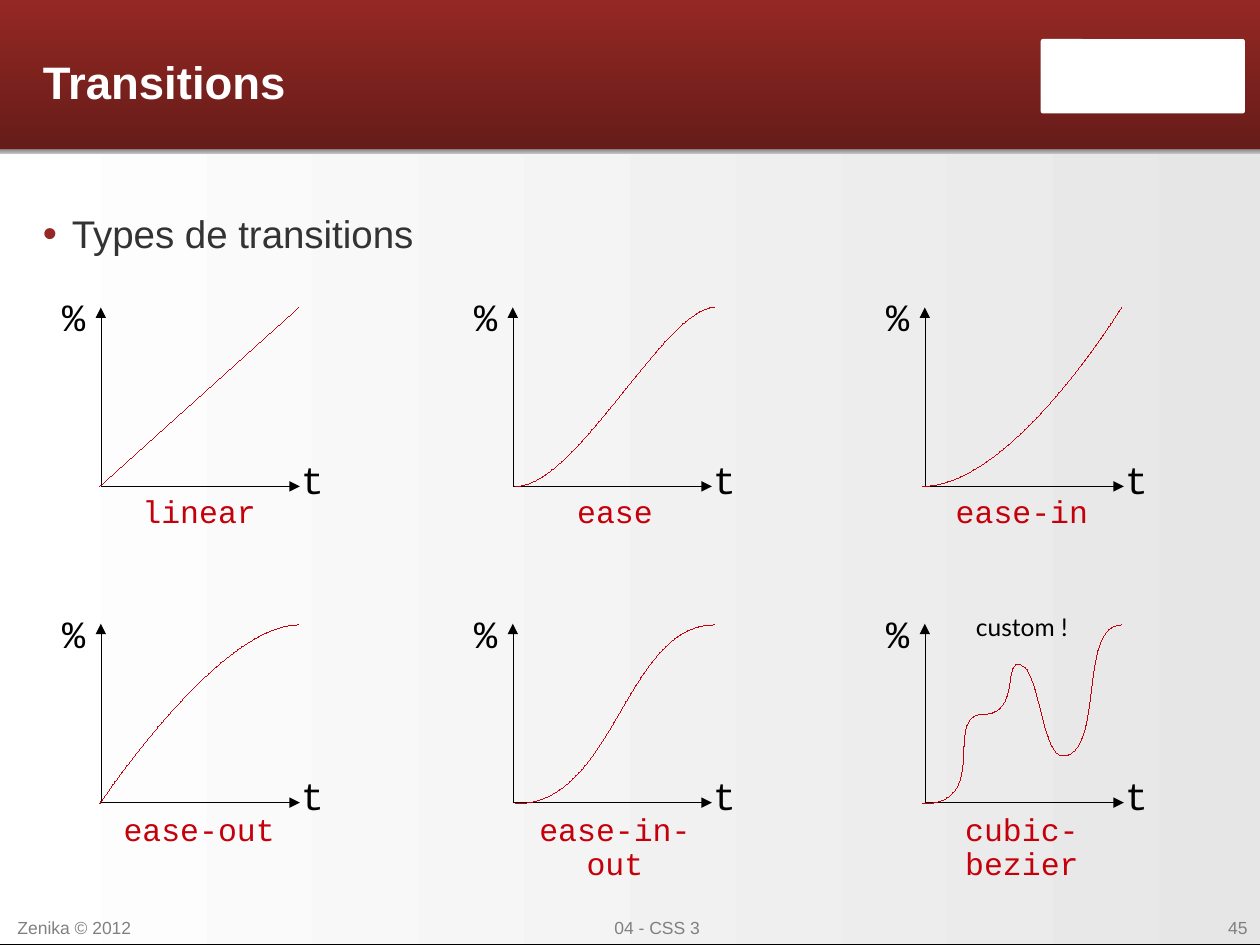
from lxml import etree
from pptx import Presentation
from pptx.dml.color import RGBColor
from pptx.enum.shapes import MSO_CONNECTOR, MSO_SHAPE
from pptx.enum.text import MSO_ANCHOR, MSO_AUTO_SIZE, PP_ALIGN
from pptx.oxml.ns import qn
from pptx.util import Inches, Pt

STRAIGHT = MSO_CONNECTOR.STRAIGHT
RECT, ROUNDED = MSO_SHAPE.RECTANGLE, MSO_SHAPE.ROUNDED_RECTANGLE
TOP, MIDDLE = MSO_ANCHOR.TOP, MSO_ANCHOR.MIDDLE
LEFT, CENTER, RIGHT = PP_ALIGN.LEFT, PP_ALIGN.CENTER, PP_ALIGN.RIGHT
NO_AUTOFIT = MSO_AUTO_SIZE.NONE

BLACK = RGBColor(0x00, 0x00, 0x00)
WHITE = RGBColor(0xFF, 0xFF, 0xFF)
PALE_BLUE = RGBColor(0xD5, 0xDF, 0xE7)
NEAR_WHITE = RGBColor(0xFE, 0xFE, 0xFE)
LIGHT_GREY = RGBColor(0xE6, 0xE6, 0xE6)
SILVER = RGBColor(0xC0, 0xC0, 0xC0)
GREY = RGBColor(0x80, 0x80, 0x80)
DARK_GREY = RGBColor(0x33, 0x33, 0x33)
RED = RGBColor(0x94, 0x28, 0x24)
DARK_RED = RGBColor(0x67, 0x1C, 0x19)
CURVE_RED = RGBColor(0xC5, 0x00, 0x0B)

# Plot grid, in inches
AXIS_LEFT, AXIS_PITCH = 0.8, 3.27
AXIS_BOTTOMS = (3.86, 6.37)
CURVE_LEFTS = (0.79, 4.09, 7.32)
CURVE_BOTTOMS = (3.86, 6.38)
CURVE_W, CURVE_H = 1.58, 1.42

# Bezier segments: two controls and an end, in inches right of and above the origin
END = (CURVE_W, CURVE_H)
PLOTS = [
    ("linear", []),
    ("ease", [((0.48, 0), (1.19, CURVE_H), END)]),
    ("ease-in", [((0.71, 0), END, END)]),
    ("ease-out", [((0, 0), (0.94, CURVE_H), END)]),
    ("ease-in-out", [((0.79, 0), (0.87, CURVE_H), END)]),
    ("cubic-bezier", [((0.55, 0), (0.16, 0.71), (0.48, 0.71)),
                      ((0.79, 0.71), (0.63, 1.18), (0.79, 1.1)),
                      ((0.95, 1.03), (0.95, 0.24), (1.18, 0.4)),
                      ((1.42, 0.55), (1.26, CURVE_H), END)]),
]


def set_gradient(fill, first, last, angle=0):
    fill.gradient()
    fill.gradient_angle = angle
    for stop, color in zip(fill.gradient_stops, (first, last)):
        stop.color.rgb = color


def set_hairline(sp, color):
    sp.line.color.rgb = color
    ln = sp._element.spPr.find(qn("a:ln"))
    ln.set("w", "0")  # an explicit zero overrides the theme's line width
    return ln


def place(sp, box):
    sp.left, sp.top, sp.width, sp.height = map(Inches, box)


def write(sp, text, size, color, font="Arial", align=LEFT, inset=(0, 0),
          anchor=TOP, spacing=1.0):
    tf = sp.text_frame
    tf.text = text
    tf.word_wrap = True
    tf.auto_size = NO_AUTOFIT
    tf.vertical_anchor = anchor
    tf.margin_left = tf.margin_right = Inches(inset[0])
    tf.margin_top = tf.margin_bottom = Inches(inset[1])
    p = tf.paragraphs[0]
    p.alignment = align
    p.line_spacing = spacing
    p.space_before = Pt(0)
    r = p.runs[0]
    r.font.name, r.font.size, r.font.color.rgb = font, Pt(size), color
    return p


def add_text(shapes, box, *args, **kwargs):
    write(shapes.add_textbox(*map(Inches, box)), *args, **kwargs)


def add_label(shapes, box, text, size, color, font="Courier New", align=CENTER):
    add_text(shapes, box, text, size, color, font, align, (0.08, 0.08), spacing=0.9)


def add_line(shapes, start, end, color, arrow=False):
    line = shapes.add_connector(STRAIGHT, *map(Inches, start + end))
    ln = set_hairline(line, color)
    if arrow:
        etree.SubElement(ln, qn("a:tailEnd"), type="triangle")
    etree.SubElement(line._element.spPr, qn("a:effectLst"))


def add_panel(slide, kind, box):
    sp = slide.shapes.add_shape(kind, *map(Inches, box))
    sp.shadow.inherit = False
    sp.line.fill.background()
    if kind == ROUNDED:
        sp.adjustments[0] = 0
    return sp


def add_backdrop(slide):
    set_gradient(slide.background.fill, PALE_BLUE, NEAR_WHITE)
    page = add_panel(slide, ROUNDED, (-0.04, 1.09, 10.08, 6.41))
    set_gradient(page.fill, WHITE, LIGHT_GREY)
    page.line.color.rgb = BLACK
    page.line.width = Pt(0.75)
    header = add_panel(slide, ROUNDED, (0, 0, 10.04, 1.18))
    set_gradient(header.fill, RED, DARK_RED, 270)
    rule = add_panel(slide, RECT, (0, 1.18, 10.04, 0.04))
    set_gradient(rule.fill, SILVER, GREY, 90)
    plate = add_panel(slide, ROUNDED, (8.26, 0.31, 1.62, 0.59))
    plate.adjustments[0] = 0.03
    plate.fill.solid()
    plate.fill.fore_color.rgb = WHITE


def add_footer(slide, top, height):
    for left, width, text, align in ((0.04, 1.18, "Zenika © 2012", LEFT),
                                     (3.74, 2.95, "04 - CSS 3", CENTER),
                                     (8.82, 1.18, "45", RIGHT)):
        add_text(slide.shapes, (left, top, width, height), text, 10, GREY,
                 align=align, inset=(0.1, 0.05))


def fill_title(sp, box):
    place(sp, box)
    p = write(sp, "Transitions", 26, WHITE, anchor=MIDDLE)
    p.runs[0].font.bold = True


def fill_body(sp, box):
    place(sp, box)
    p = write(sp, "Types de transitions", 22, DARK_GREY)
    pPr = p._p.get_or_add_pPr()
    pPr.set("marL", str(Inches(0.23)))
    pPr.set("indent", str(-Inches(0.23)))
    color = etree.SubElement(pPr, qn("a:buClr"))
    etree.SubElement(color, qn("a:srgbClr"), val=str(RED))
    etree.SubElement(pPr, qn("a:buSzPct"), val="105000")
    etree.SubElement(pPr, qn("a:buFont"), typeface="Arial")
    etree.SubElement(pPr, qn("a:buChar"), char="•")


def add_axes(slide, x, y):
    shapes = slide.shapes.add_group_shape().shapes
    add_line(shapes, (x, y), (x, y - CURVE_H), BLACK, arrow=True)
    add_line(shapes, (x, y), (x + 1.58, y), BLACK, arrow=True)
    add_label(shapes, (x - 0.49, y - 1.57, 0.55, 0.48), "%", 22, BLACK)
    add_label(shapes, (x + 1.3, y - 0.28, 0.55, 0.48), "t", 22, BLACK, align=RIGHT)


def add_curve(slide, x, y, segments):
    if not segments:
        add_line(slide.shapes, (x, y), (x + CURVE_W, y - CURVE_H), CURVE_RED)
        return
    builder = slide.shapes.build_freeform(Inches(x), Inches(y))
    builder.add_line_segments([(Inches(x + dx), Inches(y - dy))
                               for segment in segments for dx, dy in segment],
                              close=False)
    sp = builder.convert_to_shape()
    # Join each three straight steps into one cubic segment
    steps = list(sp._element.iter(qn("a:lnTo")))
    for i in range(0, len(steps), 3):
        cubic = etree.Element(qn("a:cubicBezTo"))
        steps[i].addprevious(cubic)
        for step in steps[i:i + 3]:
            cubic.append(step[0])
            step.getparent().remove(step)
    sp.shadow.inherit = False
    sp.fill.background()
    set_hairline(sp, CURVE_RED)


def add_plots(slide):
    for i, (name, segments) in enumerate(PLOTS):
        row, col = divmod(i, 3)
        x, y = CURVE_LEFTS[col], CURVE_BOTTOMS[row]
        add_axes(slide, AXIS_LEFT + col * AXIS_PITCH, AXIS_BOTTOMS[row])
        add_curve(slide, x, y, segments)
        add_label(slide.shapes, (x, y, CURVE_W, 0.68 if len(name) > 8 else 0.42),
                  name, 18, CURVE_RED)
    add_label(slide.shapes, (7.32, 4.8, CURVE_W, 0.5), "custom !", 14, BLACK, "Lato")


def main():
    prs = Presentation()
    prs.slide_width, prs.slide_height = Inches(10), Inches(7.5)
    slide = prs.slides.add_slide(prs.slide_layouts[1])
    title, body = slide.placeholders
    add_backdrop(slide)
    add_footer(slide, 7.23, 0.17)
    # Bring the placeholders in front of the backdrop
    for sp in (title, body):
        sp._element.getparent().append(sp._element)
    fill_title(title, (0.34, 0.1, 7.7, 1.09))
    fill_body(body, (0.34, 1.67, 9.23, 5.52))
    add_plots(slide)
    prs.save("out.pptx")


if __name__ == "__main__":
    main()
